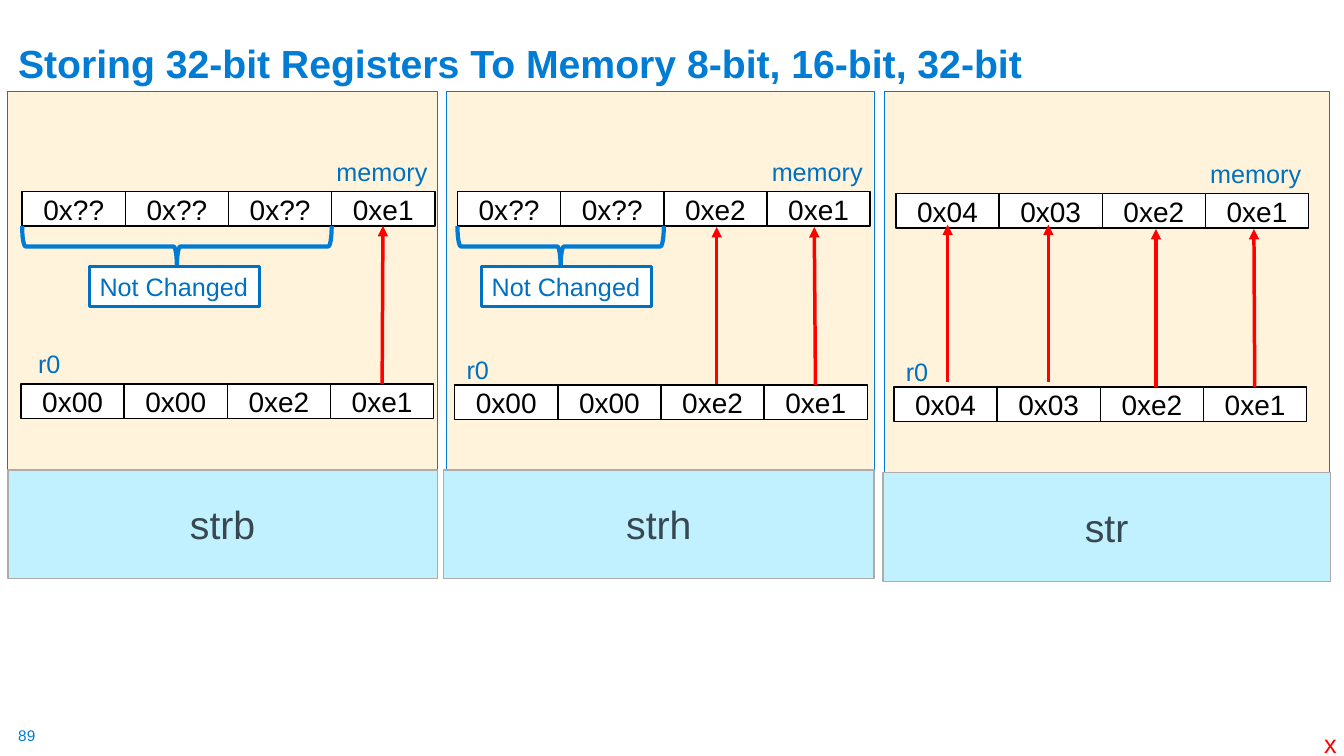
from dataclasses import dataclass

from lxml import etree
from pptx import Presentation
from pptx.dml.color import RGBColor
from pptx.enum import shapes, text
from pptx.oxml.ns import qn
from pptx.util import Cm, Pt

BLUE = RGBColor(0x00, 0x7C, 0xD5)
INK = RGBColor(0x00, 0x70, 0xC0)
CREAM = RGBColor(0xFF, 0xF4, 0xDB)
SKY = RGBColor(0xC1, 0xF0, 0xFF)
GREY = RGBColor(0xAF, 0xAB, 0xAB)
SLATE = RGBColor(0x38, 0x48, 0x51)
RED = RGBColor(0xFF, 0x00, 0x00)
BLACK = RGBColor(0x00, 0x00, 0x00)
WHITE = RGBColor(0xFF, 0xFF, 0xFF)

CELL_W, CELL_H = 2.6, 0.87
LABEL_H = 1.02


@dataclass
class Panel:
    """One store instruction: frame, band, two byte rows and the arrows.

    Boxes are (left, top, width, height), rows and labels (left, top),
    arrows (foot x, foot y, tip x, tip y), all in centimetres.
    """
    name: str
    frame: tuple
    band: tuple
    reg: tuple
    reg_vals: str
    tag: tuple
    mem: tuple
    mem_vals: str
    arrows: list
    kept: int = 0
    note: float = 0


PANELS = [
    Panel("strb", (0.2, 2.31, 10.82, 9.53), (0.2, 11.84, 10.82, 2.74),
          (0.53, 9.68), "0x00 0x00 0xe2 0xe1", (0.71, 8.66),
          (0.56, 4.83), "0x?? 0x?? 0x?? 0xe1",
          [(9.63, 9.68, 9.65, 5.69)], kept=3, note=2.26),
    Panel("strh", (11.25, 2.31, 10.8, 9.53), (11.18, 11.84, 10.85, 2.74),
          (11.46, 9.7), "0x00 0x00 0xe2 0xe1", (11.51, 8.81),
          (11.53, 4.83), "0x?? 0x?? 0xe2 0xe1",
          [(20.55, 9.7, 20.52, 5.72), (18.06, 9.68, 18.06, 5.72)],
          kept=2, note=12.14),
    Panel("str", (22.3, 2.31, 11.2, 9.6), (22.25, 11.91, 11.28, 2.74),
          (22.53, 9.75), "0x04 0x03 0xe2 0xe1", (22.58, 8.86),
          (22.58, 4.88), "0x04 0x03 0xe2 0xe1",
          [(31.62, 9.75, 31.6, 5.77), (29.13, 9.75, 29.13, 5.77),
           (26.42, 9.63, 26.42, 5.66), (23.88, 9.63, 23.88, 5.66)]),
]


class Deck:
    font = "Arial"

    def __init__(self):
        self.prs = Presentation()
        self.prs.slide_width = Cm(33.87)
        self.prs.slide_height = Cm(19.05)
        self.slide = self.prs.slides.add_slide(self.prs.slide_layouts[5])

    def fill_in(self, shape, words, size, color, align=text.PP_ALIGN.LEFT,
                bold=False):
        shape.text_frame.text = words
        par = shape.text_frame.paragraphs[0]
        par.alignment = align
        font = par.runs[0].font
        font.name, font.size, font.bold = self.font, Pt(size), bold
        font.color.rgb = color
        return par

    def title(self, words):
        shape = self.slide.shapes.title
        shape.left, shape.top = Cm(0.2), Cm(0.33)
        shape.width, shape.height = Cm(33.43), Cm(1.98)
        frame = shape.text_frame
        frame.auto_size = text.MSO_AUTO_SIZE.NONE
        frame.vertical_anchor = text.MSO_ANCHOR.BOTTOM
        self.fill_in(shape, words, 28, BLUE, bold=True).line_spacing = 0.9

    def box(self, area, fill, line, width):
        shape = self.slide.shapes.add_shape(
            shapes.MSO_SHAPE.RECTANGLE, *map(Cm, area))
        shape.shadow.inherit = False
        shape.fill.solid()
        shape.fill.fore_color.rgb = fill
        shape.line.color.rgb = line
        shape.line.width = Pt(width)
        shape.text_frame.vertical_anchor = text.MSO_ANCHOR.MIDDLE
        return shape

    def label(self, area, words, color=INK, size=18, inset=True):
        shape = self.slide.shapes.add_textbox(*map(Cm, area))
        frame = shape.text_frame
        frame.word_wrap = False
        if not inset:
            frame.margin_left = frame.margin_right = 0
            frame.margin_top = frame.margin_bottom = 0
        self.fill_in(shape, words, size, color)

    def row(self, spot, vals):
        left, top = spot
        for i, val in enumerate(vals.split()):
            cell = self.box((left + i * CELL_W, top, CELL_W, CELL_H),
                            WHITE, BLACK, 1)
            self.fill_in(cell, val, 20, BLACK, text.PP_ALIGN.CENTER)

    def arrow(self, ends):
        line = self.slide.shapes.add_connector(
            shapes.MSO_CONNECTOR.STRAIGHT, *map(Cm, ends))
        line.line.color.rgb = RED
        line.line.width = Pt(2.5)
        props = line._element.spPr
        etree.SubElement(props.find(qn("a:ln")), qn("a:tailEnd"),
                         type="triangle")
        etree.SubElement(props, qn("a:effectLst"))

    def brace(self, left, top, span, depth=1.02):
        """Draw a brace that opens upward over the given span."""
        shape = self.slide.shapes.add_shape(
            shapes.MSO_SHAPE.LEFT_BRACE,
            Cm(left + (span - depth) / 2), Cm(top + (depth - span) / 2),
            Cm(depth), Cm(span))
        shape.rotation = 270
        shape.shadow.inherit = False
        shape.fill.background()
        shape.line.color.rgb = BLUE
        shape.line.width = Pt(3)

    def note(self, left, words):
        shape = self.box((left, 6.71, 4.29, LABEL_H), WHITE, INK, 2.25)
        shape.text_frame.word_wrap = False
        self.fill_in(shape, words, 18, INK)

    def panel(self, p):
        self.box(p.frame, CREAM, BLUE, 0.75)
        band = self.box(p.band, SKY, GREY, 1)
        self.fill_in(band, p.name, 28, SLATE, text.PP_ALIGN.CENTER)
        self.row(p.reg, p.reg_vals)
        left, top = p.mem
        self.label((left + 7.67, top - LABEL_H, 2.82, LABEL_H), "memory")
        self.label((*p.tag, 1.09, LABEL_H), "r0")
        self.row(p.mem, p.mem_vals)
        for ends in p.arrows:
            self.arrow(ends)
        if p.kept:
            self.brace(left, top + CELL_H, p.kept * CELL_W)
            self.note(p.note, "Not Changed")


def main():
    deck = Deck()
    deck.title("Storing 32-bit Registers To Memory 8-bit, 16-bit, 32-bit")
    for p in PANELS:
        deck.panel(p)
    deck.label((0.46, 18.31, 0.48, 0.48), "89", BLUE, 11, inset=False)
    deck.label((33.12, 18.24, 0.84, LABEL_H), "x", RED)
    deck.prs.save("out.pptx")


if __name__ == "__main__":
    main()
